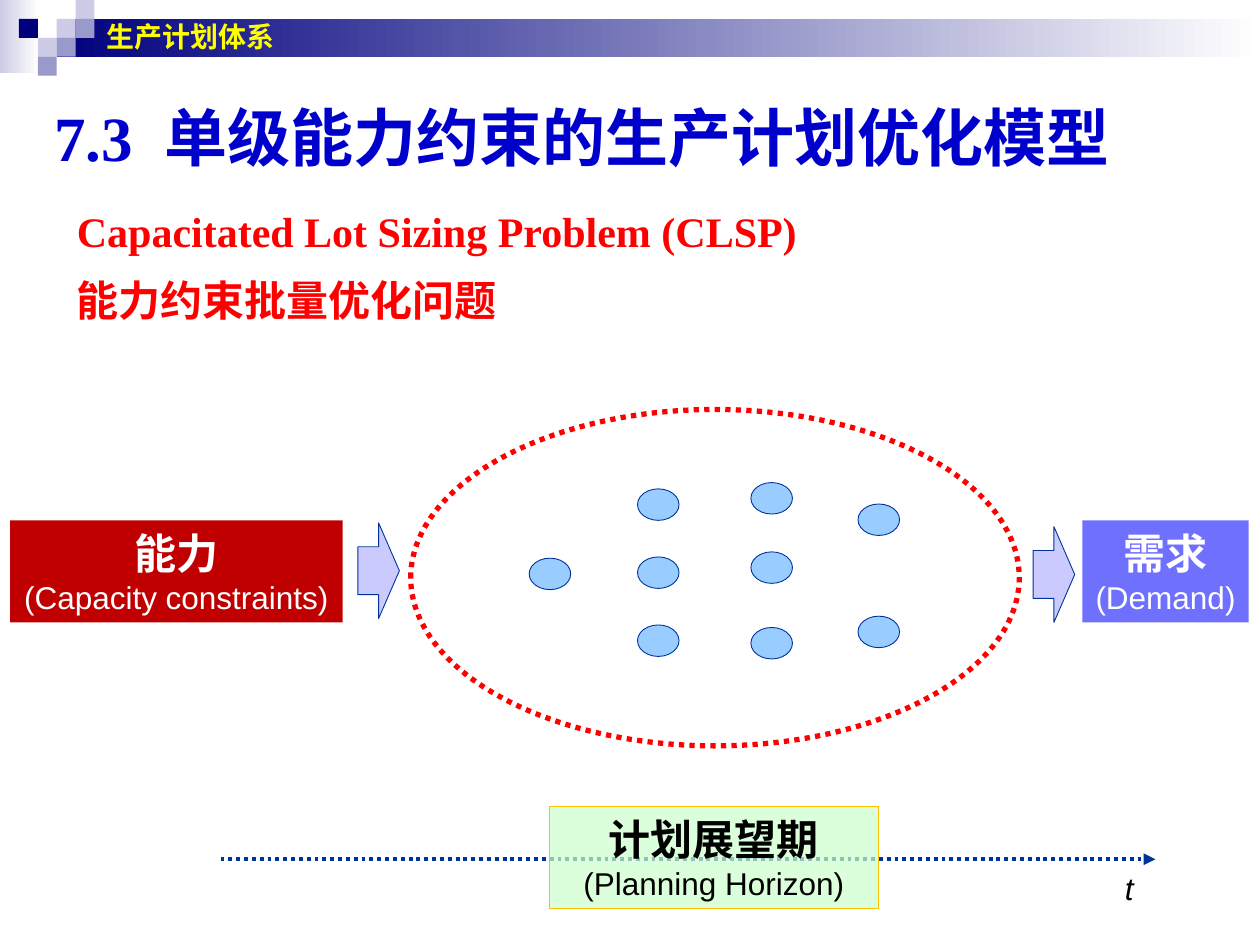
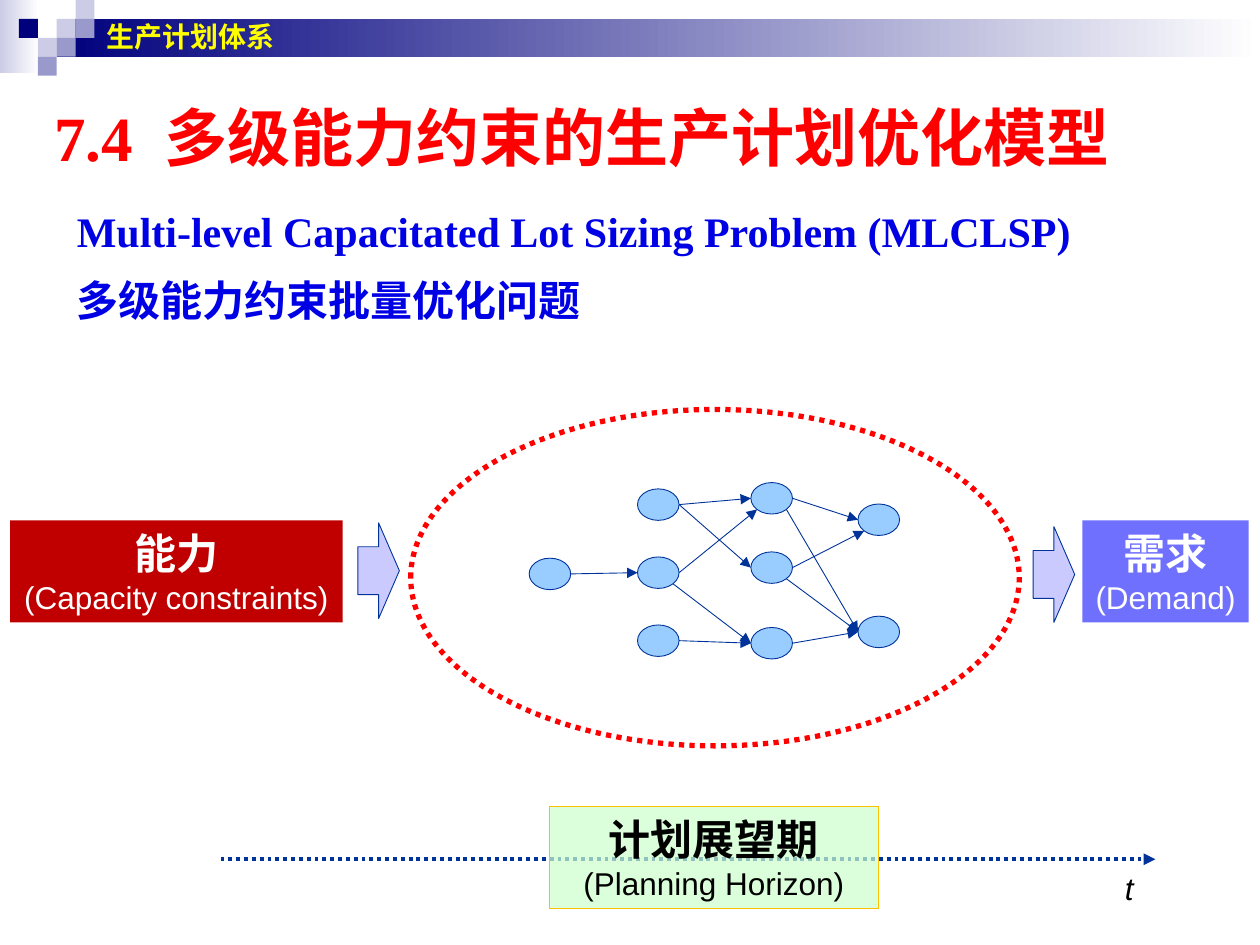
from math import sqrt

from lxml import etree
from pptx import Presentation
from pptx import util as u
from pptx.dml.color import RGBColor
from pptx.enum import dml, shapes, text
from pptx.oxml import ns

# ---- Content ----
SECTION = "生产计划体系"
MODELS = [
    dict(number="7.3", title="单级能力约束的生产计划优化模型", title_color="blue",
         problem=["Capacitated Lot Sizing Problem (CLSP)", "能力约束批量优化问题"],
         problem_color="red", linked=False),
    dict(number="7.4", title="多级能力约束的生产计划优化模型", title_color="red",
         problem=["Multi-level Capacitated Lot Sizing Problem (MLCLSP)",
                  "多级能力约束批量优化问题"],
         problem_color="bright_blue", linked=True),
]
CAPACITY = ("能力", "(Capacity constraints)")
DEMAND = ("需求", "(Demand)")
HORIZON = ("计划展望期", "(Planning Horizon)")
TIME_AXIS = "t"

# Production stages: left edge, then the top edge of each item
STAGES = {
    "A": (4.2, [4.43]),
    "B": (5.06, [3.88, 4.42, 4.96]),
    "C": (5.96, [3.83, 4.38, 4.98]),
    "D": (6.81, [4.0, 4.89]),
}
# Item flows: from item and side, to item and side
FLOWS = [
    ("A1", "right", "B2", "left"),
    ("B1", "right", "C1", "left"),
    ("B1", "right", "C2", "left"),
    ("B2", "right", "C1", "lower left"),
    ("B2", "lower right", "C3", "left"),
    ("B3", "right", "C3", "left"),
    ("C1", "right", "D1", "left"),
    ("C1", "lower right", "D2", "left"),
    ("C2", "right", "D1", "lower left"),
    ("C2", "lower right", "D2", "left"),
    ("C3", "right", "D2", "left"),
]

# ---- Theme ----
THEME = dict(
    colors=dict(
        navy="00007D", lilac="CCCCE6", violet="9999CC", white="FFFFFF", black="000000",
        yellow="FFFF00", blue="0000CC", bright_blue="0000E4", red="FF0000",
        dark_red="C00000", demand="7070FF", arrow="CACAFF", outline="003399",
        item="99CCFF", horizon="CCFFCC", gold="FFC000"),
    sizes=dict(title=36, heading=24, label=18, section=16),
    serif="Times New Roman", sans="Arial",
)
WIDTH, HEIGHT = 10, 7.5
TILE = 0.15
TILES = [  # column, row, colour
    (3, 1, "lilac"), (4, 0, "lilac"), (4, 1, "violet"), (2, 2, "lilac"),
    (1, 1, "navy"), (3, 2, "violet"), (2, 3, "violet"),
]
ITEM_W, ITEM_H = 0.33, 0.25
DIAGONAL = sqrt(0.5)
SIDES = {"left": (-1, 0), "right": (1, 0),
         "lower left": (-DIAGONAL, DIAGONAL), "lower right": (DIAGONAL, DIAGONAL)}
SHAPE, LINE_DASH = shapes.MSO_SHAPE, dml.MSO_LINE
ALIGN, ANCHOR = text.PP_ALIGN, text.MSO_ANCHOR


def rgb(name):
    return RGBColor.from_string(THEME["colors"][name])


def inches(*lengths):
    return [u.Inches(length) for length in lengths]


def add_run(paragraph, words, size, color, font="sans", bold=False, italic=False):
    run = paragraph.add_run()
    run.text = words
    run.font.name = THEME[font]
    run.font.size = u.Pt(THEME["sizes"][size])
    run.font.color.rgb = rgb(color)
    run.font.bold, run.font.italic = bold, italic
    return run


def set_line(line, color, weight, dash=None):
    line.color.rgb = rgb(color)
    line.width = u.Pt(weight)
    if dash:
        line.dash_style = dash


def add_figure(slide, kind, at, fill=None, line=None):
    """Preset shape; fill is a colour name or a (from, to) gradient."""
    figure = slide.shapes.add_shape(kind, *inches(*at))
    figure.shadow.inherit = False
    if fill is None:
        figure.fill.background()
    elif isinstance(fill, tuple):
        figure.fill.gradient()
        figure.fill.gradient_angle = 0
        for stop, color in zip(figure.fill.gradient_stops, fill):
            stop.color.rgb = rgb(color)
    else:
        figure.fill.solid()
        figure.fill.fore_color.rgb = rgb(fill)
    if line:
        set_line(figure.line, *line)
    else:
        figure.line.fill.background()
    return figure


def add_arrow(slide, start, end, weight, dash=None):
    arrow = slide.shapes.add_connector(shapes.MSO_CONNECTOR.STRAIGHT, *inches(*start, *end))
    set_line(arrow.line, "outline", weight, dash)
    properties = arrow._element.spPr
    etree.SubElement(properties.find(ns.qn("a:ln")), ns.qn("a:tailEnd"), type="triangle")
    etree.SubElement(properties, ns.qn("a:effectLst"))


def add_label_box(slide, at, words, fill, color, line=None):
    """Box with a bold Chinese heading over its English name."""
    box = add_figure(slide, SHAPE.RECTANGLE, at, fill, line)
    frame = box.text_frame
    frame.word_wrap = False
    heading, translation = frame.paragraphs[0], frame.add_paragraph()
    heading.alignment = translation.alignment = ALIGN.CENTER
    add_run(heading, words[0], "heading", color, bold=True)
    add_run(translation, words[1], "label", color)
    return box


def add_text(slide, at, words, size, color, wrap=True, **style):
    frame = slide.shapes.add_textbox(*inches(*at)).text_frame
    frame.word_wrap = wrap
    add_run(frame.paragraphs[0], words, size, color, **style)
    return frame


def place(placeholder, at, anchor):
    placeholder.left, placeholder.top, placeholder.width, placeholder.height = inches(*at)
    frame = placeholder.text_frame
    frame.auto_size = text.MSO_AUTO_SIZE.NONE
    frame.word_wrap = True
    frame.vertical_anchor = anchor
    return frame


# ---- Parts of a slide ----
def add_header(slide):
    add_figure(slide, SHAPE.RECTANGLE, (0, 0, 0.31, 0.58), ("lilac", "white"))
    add_figure(slide, SHAPE.RECTANGLE, (3 * TILE, TILE, WIDTH - 3 * TILE, 2 * TILE),
               ("navy", "white"))
    for column, row, color in TILES:
        add_figure(slide, SHAPE.RECTANGLE, (column * TILE, row * TILE, TILE, TILE), color)
    section = add_text(slide, (0.75, 0, 8.83, 0.58), SECTION, "section", "yellow", bold=True)
    section.vertical_anchor = ANCHOR.MIDDLE


def add_headings(slide, model):
    title = place(slide.shapes.title, (0.33, 0.75, 9, 0.67), ANCHOR.MIDDLE).paragraphs[0]
    title.alignment = ALIGN.LEFT
    style = ("title", model["title_color"], "serif", True)
    add_run(title, model["number"], *style)
    gap = add_run(title, " ", *style)
    gap.font._element.set("spc", "900")
    add_run(title, model["title"], *style)

    problem = place(slide.placeholders[1], (0.51, 1.58, 9.07, 1.08), ANCHOR.TOP)
    for index, words in enumerate(model["problem"]):
        paragraph = problem.add_paragraph() if index else problem.paragraphs[0]
        properties = paragraph._p.get_or_add_pPr()
        properties.set("marL", "0")
        properties.set("indent", "0")
        etree.SubElement(properties, ns.qn("a:buNone"))
        paragraph.space_before = u.Pt(4.8 if index else 0)
        paragraph.space_after = u.Pt(6)
        add_run(paragraph, words, "heading", model["problem_color"], "serif", True)


def add_system(slide, linked):
    thin = ("outline", 0.5)
    add_label_box(slide, (0.08, 4.13, 2.64, 0.81), CAPACITY, "dark_red", "white")
    add_label_box(slide, (8.59, 4.13, 1.32, 0.81), DEMAND, "demand", "white")
    for left, top in [(2.84, 4.15), (8.2, 4.18)]:
        add_figure(slide, SHAPE.RIGHT_ARROW, (left, top, 0.33, 0.76), "arrow", thin)

    # Items by stage, with the flows between them
    centers = {}
    for stage, (left, tops) in STAGES.items():
        for number, top in enumerate(tops, 1):
            add_figure(slide, SHAPE.OVAL, (left, top, ITEM_W, ITEM_H), "item", thin)
            centers[f"{stage}{number}"] = (left + ITEM_W / 2, top + ITEM_H / 2)

    def edge(item, side):
        (x, y), (dx, dy) = centers[item], SIDES[side]
        return x + dx * ITEM_W / 2, y + dy * ITEM_H / 2

    for source, exit_side, target, entry_side in FLOWS if linked else []:
        add_arrow(slide, edge(source, exit_side), edge(target, entry_side), 0.5)
    add_figure(slide, SHAPE.OVAL, (3.26, 3.25, 4.83, 2.67),
               line=("red", 3, LINE_DASH.ROUND_DOT))


def add_horizon(slide):
    add_arrow(slide, (1.75, 6.82), (9.17, 6.82), 2.25, LINE_DASH.ROUND_DOT)
    add_text(slide, (8.83, 6.85, 0.27, 0.4), TIME_AXIS, "label", "black",
             wrap=False, italic=True)
    horizon = add_label_box(slide, (4.36, 6.4, 2.61, 0.81), HORIZON, "horizon", "black",
                            ("gold", 0.5))
    tint = horizon._element.spPr.find(ns.qn("a:solidFill"))[0]
    etree.SubElement(tint, ns.qn("a:alpha"), val="70000")


def main():
    deck = Presentation()
    deck.slide_width, deck.slide_height = inches(WIDTH, HEIGHT)
    for model in MODELS:
        slide = deck.slides.add_slide(deck.slide_layouts[1])
        add_header(slide)
        add_headings(slide, model)
        add_system(slide, model["linked"])
        add_horizon(slide)
    deck.save("out.pptx")


if __name__ == "__main__":
    main()
